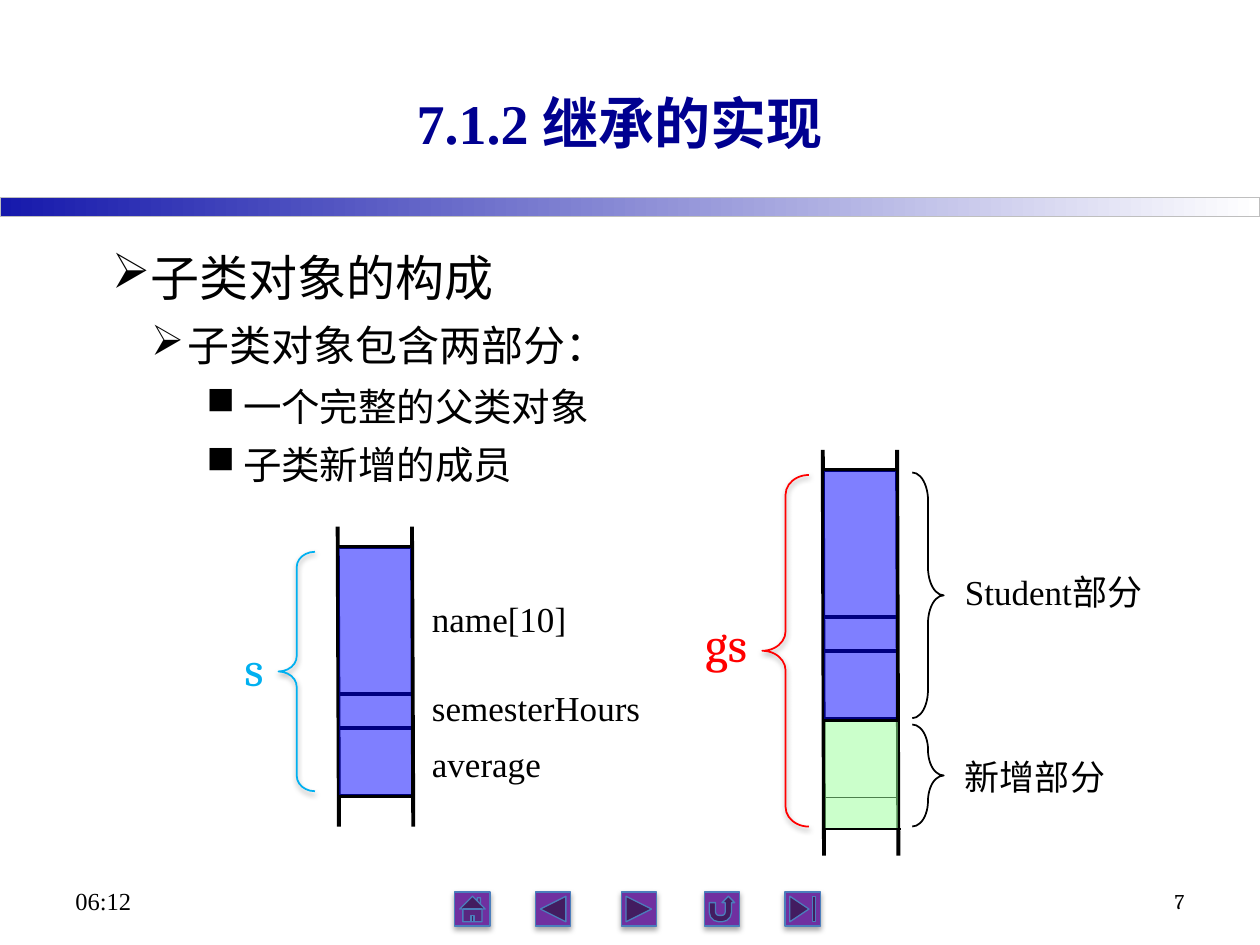
"""Build a slide on how a derived object is laid out in memory."""
from lxml import etree
from pptx import Presentation
from pptx.dml.color import RGBColor
from pptx.enum.shapes import MSO_CONNECTOR, MSO_SHAPE
from pptx.enum.text import MSO_ANCHOR, PP_ALIGN
from pptx.oxml.ns import qn
from pptx.util import Inches, Pt

RECT = MSO_SHAPE.RECTANGLE
LEFT_BRACE, RIGHT_BRACE = MSO_SHAPE.LEFT_BRACE, MSO_SHAPE.RIGHT_BRACE
HOME, BACK = MSO_SHAPE.ACTION_BUTTON_HOME, MSO_SHAPE.ACTION_BUTTON_BACK_OR_PREVIOUS
NEXT, END = MSO_SHAPE.ACTION_BUTTON_FORWARD_OR_NEXT, MSO_SHAPE.ACTION_BUTTON_END
RETURN = MSO_SHAPE.ACTION_BUTTON_RETURN
STRAIGHT = MSO_CONNECTOR.STRAIGHT
LEFT, CENTER, RIGHT = PP_ALIGN.LEFT, PP_ALIGN.CENTER, PP_ALIGN.RIGHT
TOP, MIDDLE = MSO_ANCHOR.TOP, MSO_ANCHOR.MIDDLE
COLS, ROWS = 100, 75
TITLE_ONLY = 5


def rgb(value):
    return RGBColor.from_string(value)


class Deck:
    """Style and current slide, measured on a grid of 100 columns by 75 rows."""

    serif, heading = "Times New Roman", "Cambria"
    black, navy, sky, red = "000000", "000090", "00B0F0", "FF0000"
    purple, edge, blue, green = "7030A0", "4B7EBC", "0000FF", "99FF99"
    thin, thick = 1, 2.25

    def __init__(self):
        self.prs = Presentation()
        self.prs.slide_width, self.prs.slide_height = Inches(10), Inches(7.5)
        self.s = self.prs.slides.add_slide(self.prs.slide_layouts[TITLE_ONLY])

    def x(self, cols):
        return int(self.prs.slide_width * cols / COLS)

    def y(self, rows):
        return int(self.prs.slide_height * rows / ROWS)

    def box(self, col, row, cols, rows):
        return self.x(col), self.y(row), self.x(cols), self.y(rows)

    def style(self, p, size, color, font, bold=False, align=LEFT):
        p.alignment = align
        p.font.size, p.font.name, p.font.bold = Pt(size), font, bold
        p.font.color.rgb = rgb(color)

    def title(self, text, *at):
        sp = self.s.shapes.title
        sp.left, sp.top, sp.width, sp.height = self.box(*at)
        sp.text_frame.text = text
        sp.text_frame.vertical_anchor = MIDDLE
        self.style(sp.text_frame.paragraphs[0], 32, self.navy, self.serif, True, CENTER)

    def frame(self, at, anchor=TOP):
        tf = self.s.shapes.add_textbox(*self.box(*at)).text_frame
        tf.word_wrap, tf.vertical_anchor = True, anchor
        return tf

    def text(self, text, *at, size=20, color=black, font=serif, align=LEFT, anchor=TOP):
        tf = self.frame(at, anchor)
        tf.text = text
        self.style(tf.paragraphs[0], size, color, font, align=align)

    def outline(self, items, *at):
        levels = [(28, 0.29, "➢"), (24, 0.6, "➢"), (22, 1.04, "■")]
        tf = self.frame(at)
        for i, (level, text) in enumerate(items):
            size, margin, bullet = levels[level]
            p = tf.add_paragraph() if i else tf.paragraphs[0]
            p.text, p.level = text, level
            p.line_spacing, p.space_before = 1.1, Pt(0.2 * size)
            self.style(p, size, self.black, self.serif)
            props = p._p.get_or_add_pPr()
            props.set("marL", str(Inches(margin)))
            props.set("indent", str(Inches(-0.29)))
            mark = etree.Element(qn("a:buChar"), char=bullet)
            props.insert_element_before(mark, "a:tabLst", "a:defRPr", "a:extLst")

    def shape(self, kind, *at, fill=None, alpha=None, line=black, width=thin, shadow=None):
        sp = self.s.shapes.add_shape(kind, *self.box(*at))
        sp.shadow.inherit = False
        sp.line.color.rgb, sp.line.width = rgb(line), Pt(width)
        if fill:
            sp.fill.solid()
            sp.fill.fore_color.rgb = rgb(fill)
        else:
            sp.fill.background()
        if alpha:
            tint = sp.fill._xPr.find(".//" + qn("a:srgbClr"))
            etree.SubElement(tint, qn("a:alpha"), val=str(alpha * 1000))
        if shadow:
            effects = sp._element.spPr.find(qn("a:effectLst"))
            outer = etree.SubElement(
                effects, qn("a:outerShdw"), blurRad=str(Pt(3.1)), dist=str(Pt(1.7)),
                dir="5400000", rotWithShape="0")
            tint = etree.SubElement(outer, qn("a:srgbClr"), val=self.black)
            etree.SubElement(tint, qn("a:alpha"), val=str(shadow * 1000))
        return sp

    def band(self, *at):
        fill = self.shape(RECT, *at, line="BFBFBF", width=0.75).fill
        fill.gradient()
        fill.gradient_angle = 0
        for stop, color, place in zip(fill.gradient_stops, ("1619AC", "FFFFFF"), (0, 1)):
            stop.color.rgb, stop.position = rgb(color), place

    def brace(self, kind, *at, curl, color=black, shadow=None):
        self.shape(kind, *at, line=color, shadow=shadow).adjustments[0] = curl

    def line(self, col, row, cols, rows, width=thick):
        x, y, w, h = self.box(col, row, cols, rows)
        ln = self.s.shapes.add_connector(STRAIGHT, x, y, x + w, y + h)
        ln.line.color.rgb, ln.line.width = rgb(self.black), Pt(width)
        etree.SubElement(ln._element.spPr, qn("a:effectLst"))

    def memory(self, col, row, rows, cols=5.9):
        for rail in (col, col + cols):
            self.line(rail, row, 0.1, rows)
        for step in (1.6, 13.3, 16, 21.4):
            self.line(col, row + step, cols, 0)
        self.shape(RECT, col, row + 1.6, cols, 19.8, fill=self.blue, alpha=50)


def main():
    d = Deck()
    d.band(0, 15.7, 100, 1.5)
    for col, kind in ((36.1, HOME), (42.5, BACK), (49.3, NEXT), (55.9, RETURN), (62.3, END)):
        d.shape(kind, col, 70.8, 2.8, 2.7, fill=d.purple, line=d.edge, width=0.75, shadow=35)
    d.text("06:12", 5, 69.5, 23.3, 4, size=14, anchor=MIDDLE)
    d.text("7", 71.7, 69.5, 23.3, 4, size=12, font=d.heading, align=RIGHT, anchor=MIDDLE)

    d.title("7.1.2 继承的实现", 10.2, 3.4, 78, 12.5)
    d.outline([(0, "子类对象的构成"), (1, "子类对象包含两部分："),
               (2, "一个完整的父类对象"), (2, "子类新增的成员")], 7.9, 18.7, 84.2, 49.8)

    d.memory(26.8, 41.8, 23.8)
    for row, member in ((46.9, "name[10]"), (54, "semesterHours"), (58.4, "average")):
        d.text(member, 33.3, row, 24.6, 4.2)

    d.memory(65.3, 35.7, 32.2)
    d.line(65.4, 63.3, 5.9, 0, d.thin)
    d.line(65.6, 65.8, 5.9, 0, d.thin)
    d.shape(RECT, 65.4, 57.2, 5.9, 8.6, fill=d.green, alpha=50)
    d.brace(RIGHT_BRACE, 72.4, 37.5, 2.5, 19.5, curl=0.89)
    d.brace(RIGHT_BRACE, 72.4, 57.5, 2.5, 8.1, curl=0.83)
    d.text("Student部分", 75.6, 44.8, 16.7, 4.2)
    d.text("新增部分", 75.6, 59.5, 14.6, 4.2)

    d.brace(LEFT_BRACE, 22.1, 43.8, 2.9, 19, curl=0.42, color=d.sky, shadow=38)
    d.text("s", 18.4, 50.1, 4.8, 5.7, size=28, color=d.sky, font=d.heading)
    d.brace(LEFT_BRACE, 60.5, 37.7, 3.7, 27.9, curl=0.42, color=d.red, shadow=38)
    d.text("gs", 55, 48.2, 7.1, 5.7, size=28, color=d.red, font=d.heading)
    d.prs.save("out.pptx")


if __name__ == "__main__":
    main()
